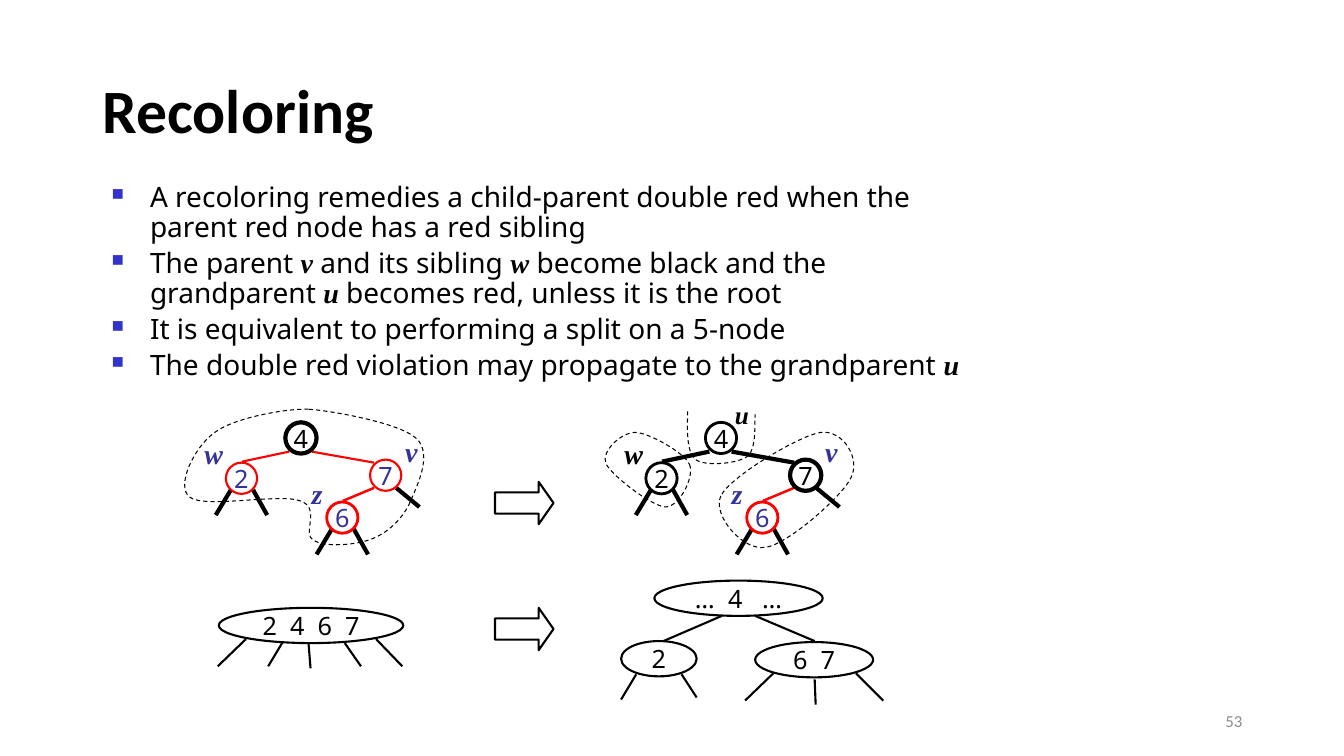
from pptx import Presentation
from pptx.util import Inches, Pt
from pptx.dml.color import RGBColor
from pptx.enum.dml import MSO_LINE
from pptx.enum.shapes import MSO_CONNECTOR, MSO_SHAPE
from pptx.enum.text import MSO_ANCHOR, PP_ALIGN
from pptx.oxml.ns import qn
from lxml.etree import SubElement
from dataclasses import dataclass


@dataclass
class Theme:
    black: str = "000000"
    white: str = "FFFFFF"
    red: str = "FF0000"
    indigo: str = "333399"
    bullet: str = "3333CC"
    grey: str = "8C8C8C"
    head: str = "Calibri"
    body: str = "Noto Sans"
    math: str = "Times New Roman"
    title: int = 44
    text: int = 20
    key: int = 18
    small: int = 12
    thin: float = 1.5
    thick: float = 3


t = Theme()
prs = Presentation()
prs.slide_width, prs.slide_height = Inches(13.33), Inches(7.5)
s = prs.slides.add_slide(prs.slide_layouts[6])
U = prs.slide_height / 75  # one cell of a 75-row square grid


def add_run(p, text, font, size, color, bold=False, italic=False):
    r = p.add_run()
    r.text = text
    r.font.name, r.font.size = font, Pt(size)
    r.font.bold, r.font.italic = bold, italic
    r.font.color.rgb = RGBColor.from_string(color)


def add_line(x1, y1, x2, y2, color=t.black, width=t.thin):
    ends = [round(v * U) for v in (x1, y1, x2, y2)]
    c = s.shapes.add_connector(MSO_CONNECTOR.STRAIGHT, *ends)
    c.line.color.rgb = RGBColor.from_string(color)
    c.line.width = Pt(width)
    SubElement(c._element.spPr, qn("a:effectLst"))


# Bullets: words between bars are math variables
bullets = [
    "A recoloring remedies a child-parent double red when the parent red node has a red sibling",
    "The parent |v| and its sibling |w| become black and the grandparent |u| becomes red, unless it is the root",
    "It is equivalent to performing a split on a 5-node",
    "The double red violation may propagate to the grandparent |u|",
]
box = [round(v * U) for v in (10.1, 17.7, 88.3, 21.7)]
tf = s.shapes.add_textbox(*box).text_frame
tf.word_wrap = True
for i, bullet in enumerate(bullets):
    p = tf.paragraphs[0] if i == 0 else tf.add_paragraph()
    p.line_spacing, p.space_before = 0.9, Pt(4)
    pPr = p._p.get_or_add_pPr()
    pPr.set("marL", str(Inches(0.38)))
    pPr.set("indent", str(-Inches(0.38)))
    SubElement(SubElement(pPr, qn("a:buClr")), qn("a:srgbClr"), val=t.bullet)
    SubElement(pPr, qn("a:buSzPct"), val="60000")
    SubElement(pPr, qn("a:buFont"), typeface="Wingdings", charset="2")
    SubElement(pPr, qn("a:buChar"), char="n")  # a square in this symbol font
    for j, part in enumerate(bullet.split("|")):
        var = j % 2 == 1
        if part:
            add_run(p, part, t.math if var else t.body, t.text, t.black, var, var)

# Red-black trees before and after: per node (key colour, ring colour, ring width)
red, deep_red = (t.indigo, t.red, 1.5), (t.indigo, t.red, 2)
black, bold_black = (t.black, t.black, 2), (t.black, t.black, 3)
trees = [
    (0, {"4": bold_black, "2": red, "7": red, "6": deep_red}, t.red, t.thin),
    (41.66, {"4": black, "2": black, "7": bold_black, "6": deep_red}, t.black, t.thick),
]
spots = {"4": (28.3, 41.9), "2": (22.4, 45.9), "7": (36.7, 45.6), "6": (32.4, 49.8)}
D = 3.1
ovals = []  # left, top, width, height, text, text colour, line colour, line width
for dx, looks, color, width in trees:
    add_line(28.7 + dx, 44.8, 24 + dx, 45.8, color, width)
    add_line(30.9 + dx, 44.8, 37.1 + dx, 45.9, color, width)
    add_line(37.1 + dx, 48.4, 34 + dx, 49.7, t.red, 1.75)
    add_line(39.3 + dx, 48.4, 41.6 + dx, 50.3, width=t.thick)
    for key in "26":
        x, y = spots[key]
        add_line(x + 2.7 + dx, y + 2.7, x + 4.1 + dx, y + 5.2, width=t.thick)
        add_line(x + 0.5 + dx, y + 2.7, x - 1 + dx, y + 5.2, width=t.thick)
    for key, look in looks.items():
        x, y = spots[key]
        ovals.append((x + dx, y, D, D, key, *look))

# Equivalent (2,4) trees
for ends in [
    (24.4, 63.4, 21.6, 66.1), (28.1, 63.6, 26.6, 66.1), (30.6, 63.8, 30.8, 66.3),
    (34.2, 63.8, 35.8, 66.1), (37.3, 63.4, 39.9, 66.1),
    (71.6, 61.1, 65.8, 63.6), (74.9, 61.1, 80.8, 63.6),
    (63.1, 66.9, 61.6, 69.4), (67.6, 66.9, 69.1, 69.2),
    (76.7, 66.8, 73.9, 69.5), (80.8, 67.4, 80.9, 69.9), (84.9, 66.8, 87.6, 69.5),
]:
    add_line(*ends)
for x, y, w, keys in [
    (21.7, 60.3, 18.3, "2  4  6  7"), (64.9, 57.6, 16.7, "…  4   …"),
    (61.6, 63.6, 7.5, "2"), (74.9, 63.7, 11.7, "6  7"),
]:
    ovals.append((x, y, w, 3.5, keys, t.black, t.black, t.thin))

# All nodes
for x, y, w, h, text, color, ring, width in ovals:
    sp = s.shapes.add_shape(MSO_SHAPE.OVAL, *[round(v * U) for v in (x, y, w, h)])
    sp.shadow.inherit = False
    sp.fill.solid()
    sp.fill.fore_color.rgb = RGBColor.from_string(t.white)
    sp.line.color.rgb = RGBColor.from_string(ring)
    sp.line.width = Pt(width)
    tf = sp.text_frame
    tf.word_wrap, tf.vertical_anchor = False, MSO_ANCHOR.MIDDLE
    p = tf.paragraphs[0]
    p.alignment = PP_ALIGN.CENTER
    add_run(p, text, t.body, t.key, color)

# Dashed groups: start point, then cubic curves of two controls and an end
groups = [
    (True, (30.6, 40.6), [
        (28.6, 40.5, 23.3, 41.4, 21.3, 42.9), (19.3, 44.3, 17.4, 48.2, 18.8, 49.3),
        (20.2, 50.5, 27.8, 48.9, 29.8, 49.7), (31.9, 50.4, 29.9, 53, 31.1, 53.6),
        (32.2, 54.3, 35.2, 54.1, 36.8, 53.5), (38.4, 52.9, 39.8, 51.6, 40.6, 50),
        (41.3, 48.3, 43, 45.1, 41.3, 43.5), (39.6, 41.9, 32.5, 40.7, 30.6, 40.6)]),
    (True, (71.5, 49.2), [
        (70.6, 51.1, 73.7, 54.7, 75.9, 54.3), (78, 54.1, 83.5, 49.3, 84.4, 47.4),
        (85.4, 45.5, 83.6, 42.6, 81.4, 42.9), (79.3, 43.2, 72.4, 47.3, 71.5, 49.2)]),
    (False, (68.2, 40.8), [
        (68.2, 42.3, 68, 44.8, 69, 45.6), (70, 46.3, 73.1, 46, 74.1, 45.3),
        (75.1, 44.5, 74.8, 42, 74.9, 41.1)]),
    (True, (68.4, 46.1), [
        (68.9, 47.3, 67.4, 50.3, 66, 50.3), (64.6, 50.2, 60.7, 47.2, 60.1, 46),
        (59.6, 44.8, 61.6, 42.9, 63, 42.9), (64.3, 42.9, 67.9, 44.9, 68.4, 46.1)]),
]
for closed, (x, y), curves in groups:
    points = [(round(c[k] * U), round(c[k + 1] * U)) for c in curves for k in (0, 2, 4)]
    fb = s.shapes.build_freeform(round(x * U), round(y * U), scale=1.0)
    fb.add_line_segments(points, close=closed)
    sp = fb.convert_to_shape()
    # Every three straight segments become one cubic curve
    segments = list(sp._element.iter(qn("a:lnTo")))
    for k in range(0, 3 * len(curves), 3):
        first, second, third = segments[k:k + 3]
        first.tag = qn("a:cubicBezTo")
        for seg in (second, third):
            first.append(seg[0])
            seg.getparent().remove(seg)
    sp.shadow.inherit = False
    sp.fill.background()
    sp.line.color.rgb = RGBColor.from_string(t.black)
    sp.line.width, sp.line.dash_style = Pt(0.75), MSO_LINE.DASH

# Block arrows
for y in (47.8, 60.3):
    sp = s.shapes.add_shape(MSO_SHAPE.RIGHT_ARROW, *[round(v * U) for v in (49.1, y, 5.8, 4.2)])
    sp.adjustments[0], sp.adjustments[1] = 0.5, 0.35
    sp.shadow.inherit = False
    sp.fill.background()
    sp.line.color.rgb = RGBColor.from_string(t.black)
    sp.line.width = Pt(t.thin)

# Title, variable labels and slide number
var, top, mid = (t.math, t.text), MSO_ANCHOR.TOP, MSO_ANCHOR.MIDDLE
left, center, right = PP_ALIGN.LEFT, PP_ALIGN.CENTER, PP_ALIGN.RIGHT
labels = [
    (9.2, 4, 115, 14.5, mid, left, "Recoloring", t.head, t.title, t.black, True, False),
    (71.9, 39.1, 3.4, 4, top, left, "u", t.math, t.key, t.black, True, True),
    (94.2, 69.5, 30, 4, mid, right, "53", t.head, t.small, t.grey, False, False),
]
for dx, w_color in ((0, t.indigo), (41.66, t.black)):
    for x, y, w, name, color in [
        (29.6, 46.8, 3.7, "z", t.indigo), (39.1, 42.6, 3.4, "v", t.indigo),
        (19.1, 42.8, 4.2, "w", w_color),
    ]:
        labels.append((x + dx, y, w, 4.3, top, center, name, *var, color, True, True))
for x, y, w, h, anchor, align, *run in labels:
    tf = s.shapes.add_textbox(*[round(v * U) for v in (x, y, w, h)]).text_frame
    tf.word_wrap, tf.vertical_anchor = True, anchor
    p = tf.paragraphs[0]
    p.alignment = align
    p.line_spacing = 0.9 if run[0] == "Recoloring" else 1.0
    add_run(p, *run)

prs.save("out.pptx")
